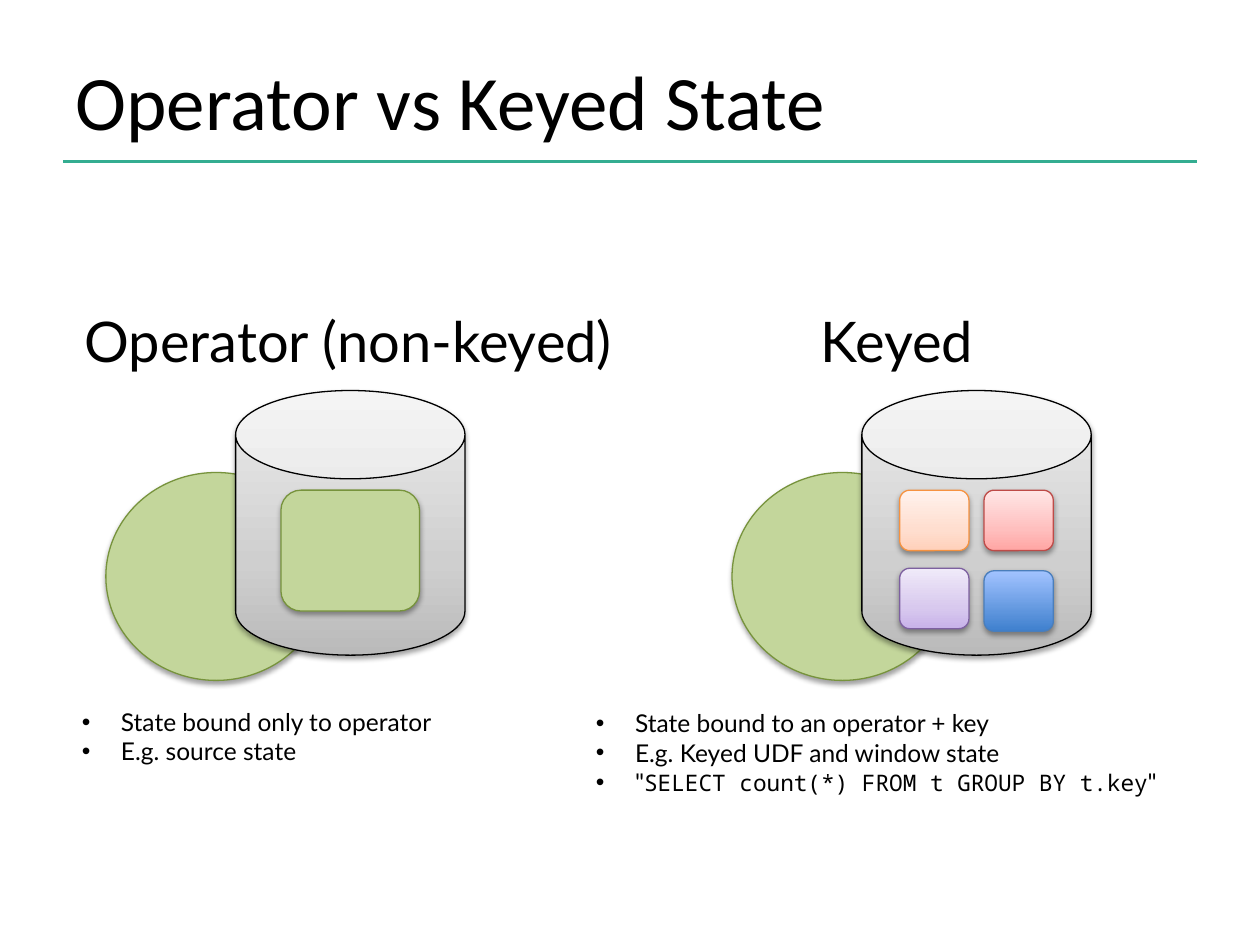
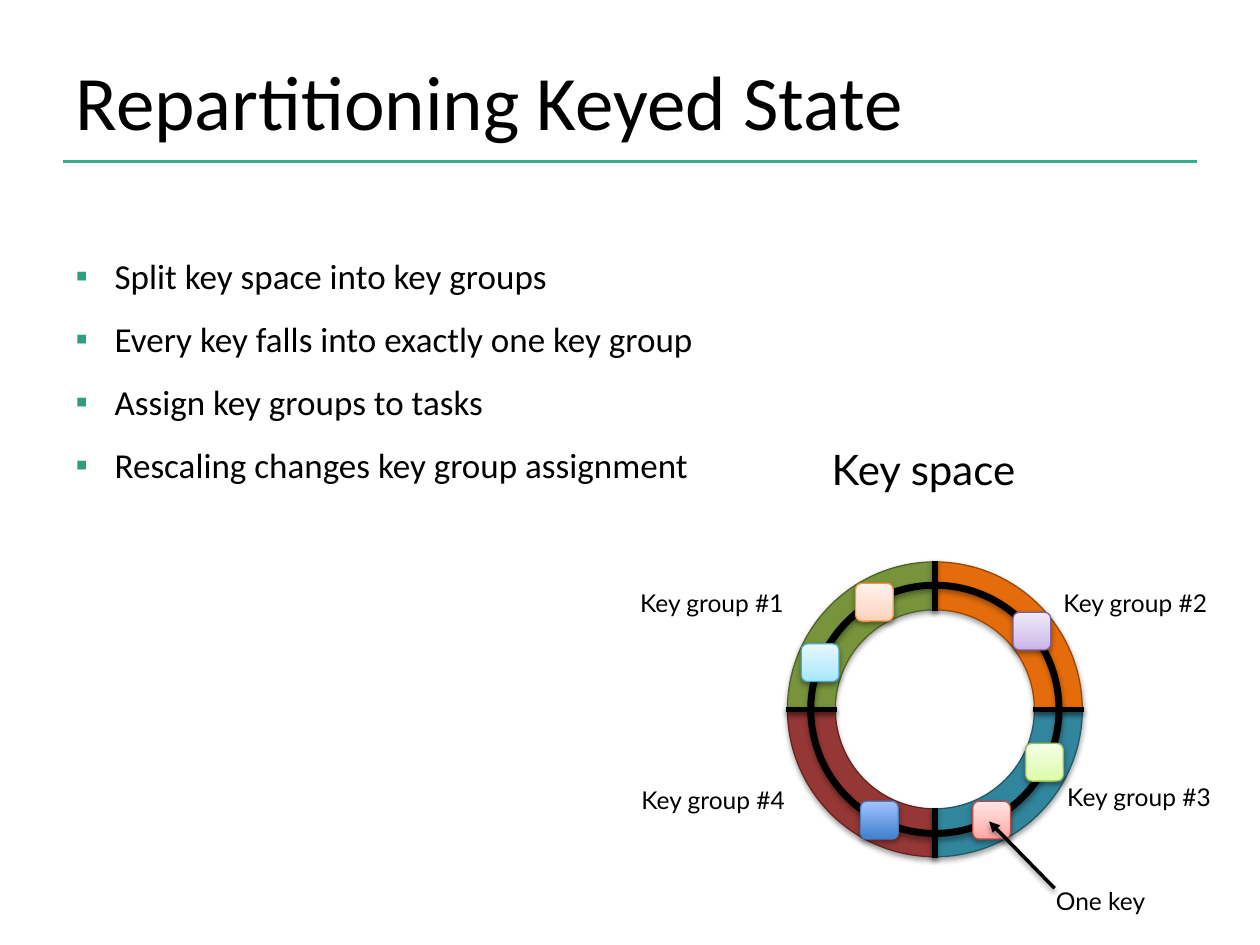
import copy
from dataclasses import dataclass

import lxml.etree
import pptx
import pptx.dml.color
import pptx.enum.shapes
import pptx.enum.text
import pptx.oxml.ns
import pptx.util

Inches = pptx.util.Inches
Pt = pptx.util.Pt
RGBColor = pptx.dml.color.RGBColor
Preset = pptx.enum.shapes.MSO_SHAPE
Anchor = pptx.enum.text.MSO_ANCHOR
qn = pptx.oxml.ns.qn

# Shared colours and fonts
BLACK = RGBColor(0x00, 0x00, 0x00)
RULE_GREEN = RGBColor(0x34, 0xAD, 0x91)
BULLET_GREEN = RGBColor(0x2D, 0x9E, 0x7E)
OPERATOR_FILL = RGBColor(0xC3, 0xD6, 0x9B)
OLIVE = RGBColor(0x77, 0x93, 0x3C)
OLIVE_DARK = RGBColor(0x4F, 0x62, 0x28)
ORANGE = RGBColor(0xE4, 0x6C, 0x0A)
ORANGE_DARK = RGBColor(0x98, 0x48, 0x07)
TEAL = RGBColor(0x31, 0x85, 0x9C)
TEAL_DARK = RGBColor(0x21, 0x59, 0x68)
MAROON = RGBColor(0x95, 0x37, 0x35)
MAROON_DARK = RGBColor(0x63, 0x25, 0x23)
TITLE_FONT, LABEL_FONT, CODE_FONT = "Calibri", "Lato", "Noto Sans Mono"
HAIRLINE = 0.75


@dataclass(frozen=True)
class Tint:
    """Outline colour and gradient stops (position, colour), bottom to top."""
    outline: RGBColor
    stops: tuple[tuple[float, RGBColor], ...]


def tint(outline: str, bottom: str, middle: str, top: str) -> Tint:
    stops = ((0, bottom), (0.35, middle), (1, top))
    return Tint(RGBColor.from_string(outline),
                tuple((at, RGBColor.from_string(colour)) for at, colour in stops if colour))


GREY = tint("000000", "BABABA", "CFCFCF", "EDEDED")
PEACH = tint("F69240", "FFD1BB", "FFDECF", "FFF2ED")
ROSE = tint("BE4B48", "FFA5A3", "FFBFBE", "FFE6E6")
LILAC = tint("7D60A0", "C8B2E9", "D8C9EE", "F0EAF9")
BLUE = tint("4A7EBB", "3F80CE", "", "A2C3FF")
SKY = tint("46AAC4", "A5E6FF", "BFEDFF", "E7F8FF")
LIME = tint("98B955", "DAFEA4", "E4FDBF", "F5FFE6")


@dataclass(frozen=True)
class Box:
    left: float
    top: float
    width: float
    height: float


@dataclass(frozen=True)
class Key:
    tint: Tint
    left: float
    top: float


@dataclass(frozen=True)
class Group:
    name: str
    fill: RGBColor
    outline: RGBColor
    start: int
    label: Box


# Drawing helpers
def add_shadow(shape) -> None:
    effects = lxml.etree.SubElement(shape._element.spPr, qn("a:effectLst"))
    shadow = lxml.etree.SubElement(effects, qn("a:outerShdw"), blurRad=str(Pt(3)),
                                   dist=str(Pt(1.7)), dir="5400000", rotWithShape="0")
    colour = lxml.etree.SubElement(shadow, qn("a:srgbClr"), val=str(BLACK))
    lxml.etree.SubElement(colour, qn("a:alpha"), val="36000")


def paint_gradient(shape, colours: Tint) -> None:
    shape.fill.gradient()
    shape.fill.gradient_angle = 90
    first = shape._element.spPr.find(".//" + qn("a:gs"))
    for _ in colours.stops[2:]:
        first.addnext(copy.deepcopy(first))
    for stop, (position, colour) in zip(shape.fill.gradient_stops, colours.stops):
        stop.position = position
        stop.color.rgb = colour


def add_preset(page, preset, box: Box, fill: RGBColor | Tint | None, outline: RGBColor,
               weight: float = HAIRLINE):
    shape = page.shapes.add_shape(preset, Inches(box.left), Inches(box.top),
                                  Inches(box.width), Inches(box.height))
    if fill is None:
        shape.fill.background()
    elif isinstance(fill, Tint):
        paint_gradient(shape, fill)
    else:
        shape.fill.solid()
        shape.fill.fore_color.rgb = fill
    shape.line.color.rgb = outline
    shape.line.width = Pt(weight)
    add_shadow(shape)
    return shape


def add_key(page, key: Key, width: float, height: float) -> None:
    add_preset(page, Preset.ROUNDED_RECTANGLE, Box(key.left, key.top, width, height),
               key.tint, key.tint.outline)


def add_line(page, start: tuple[float, float], end: tuple[float, float], colour: RGBColor,
             weight: float, shadow: bool = True, arrow: bool = False) -> None:
    line = page.shapes.add_connector(pptx.enum.shapes.MSO_CONNECTOR.STRAIGHT,
                                     *map(Inches, start), *map(Inches, end))
    line.line.color.rgb = colour
    line.line.width = Pt(weight)
    properties = line._element.spPr
    if arrow:
        lxml.etree.SubElement(properties.find(qn("a:ln")), qn("a:tailEnd"), type="triangle")
    if shadow:
        add_shadow(line)
    else:
        lxml.etree.SubElement(properties, qn("a:effectLst"))


# Text helpers
def style_font(font, name: str, size: float) -> None:
    font.name = name
    font.size = Pt(size)
    font.bold = False
    font.color.rgb = BLACK


def prepare_frame(shape, box: Box, inset: float, anchor=Anchor.TOP, wrap: bool = True):
    shape.left, shape.top = Inches(box.left), Inches(box.top)
    shape.width, shape.height = Inches(box.width), Inches(box.height)
    frame = shape.text_frame
    frame.margin_left = frame.margin_right = Inches(inset)
    frame.margin_top = frame.margin_bottom = Inches(min(inset, 0.05))
    frame.auto_size = pptx.enum.text.MSO_AUTO_SIZE.NONE
    frame.vertical_anchor = anchor
    frame.word_wrap = wrap
    return frame


def write_line(shape, text: str, box: Box, name: str, size: float, inset: float = 0.05,
               anchor=Anchor.TOP, wrap: bool = True) -> None:
    frame = prepare_frame(shape, box, inset, anchor, wrap)
    frame.text = text
    para = frame.paragraphs[0]
    para.alignment = pptx.enum.text.PP_ALIGN.LEFT
    para.space_before = Pt(0)
    style_font(para.font, name, size)


def add_label(page, text: str, box: Box, size: float = 14) -> None:
    label = page.shapes.add_textbox(0, 0, 0, 0)
    write_line(label, text, box, LABEL_FONT, size, wrap=False)


def write_list(shape, items: list[str], box: Box, name: str, size: float, mark: str,
               mark_colour: RGBColor, spacing: float = 1.0, inset: float = 0.05):
    frame = prepare_frame(shape, box, inset)
    frame.text = "\n".join(items)
    for para in frame.paragraphs:
        properties = para._p.get_or_add_pPr()
        properties.set("marL", str(Inches(0.31)))
        properties.set("indent", str(Inches(-0.31)))
        colour = lxml.etree.SubElement(properties, qn("a:buClr"))
        lxml.etree.SubElement(colour, qn("a:srgbClr"), val=str(mark_colour))
        lxml.etree.SubElement(properties, qn("a:buFont"), typeface="Arial")
        lxml.etree.SubElement(properties, qn("a:buChar"), char=mark)
        para.line_spacing = spacing
        para.space_before = Pt(0)
        style_font(para.font, name, size)
    return frame


def new_page(deck, layout_name: str, title: str):
    page = deck.slides.add_slide(deck.slide_layouts.get_by_name(layout_name))
    write_line(page.shapes.title, title, Box(0.5, 0.3, 9, 0.98), TITLE_FONT, 44,
               inset=0.1, anchor=Anchor.MIDDLE)
    add_line(page, (0.5, 1.28), (9.5, 1.28), RULE_GREEN, 2, shadow=False)
    return page


# Slide 1: operator state beside keyed state
def add_store(page, left: float) -> None:
    add_preset(page, Preset.OVAL, Box(left, 3.75, 1.75, 1.65), OPERATOR_FILL, OLIVE)
    store = add_preset(page, Preset.CAN, Box(left + 1.03, 3.1, 1.82, 2.1), GREY, BLACK)
    store.adjustments[0] = 0.385


def build_state_page(deck) -> None:
    page = new_page(deck, "Comparison", "Operator vs Keyed State")
    operator_head, operator_list, keyed_head, keyed_list = list(page.placeholders)[1:]
    write_line(operator_head, "Operator (non-keyed)", Box(0.62, 2.38, 4.83, 0.64),
               LABEL_FONT, 32)
    write_line(keyed_head, "Keyed", Box(6.46, 2.38, 3.23, 0.71), LABEL_FONT, 32)

    for left in (5.81, 0.84):
        add_store(page, left)
    add_preset(page, Preset.ROUNDED_RECTANGLE, Box(2.23, 3.89, 1.1, 0.96),
               OPERATOR_FILL, OLIVE)
    for key in (Key(PEACH, 7.14, 3.89), Key(ROSE, 7.81, 3.89),
                Key(LILAC, 7.14, 4.51), Key(BLUE, 7.81, 4.53)):
        add_key(page, key, 0.55, 0.48)

    write_list(operator_list, ["State bound only to operator", "E.g. source state"],
               Box(0.6, 5.56, 3.99, 0.57), LABEL_FONT, 14, "•", BLACK)
    frame = write_list(keyed_list, ["State bound to an operator + key",
                                    "E.g. Keyed UDF and window state", '"'],
                       Box(4.68, 5.57, 4.63, 0.81), LABEL_FONT, 14, "•", BLACK)
    query = frame.paragraphs[-1]
    span = query.add_run()
    span.text = "SELECT count(*) FROM t GROUP BY t.key"
    style_font(span.font, CODE_FONT, 13)
    query.add_run().text = '"'


# Slide 2: the key space as a ring of key groups
CENTRE_X, CENTRE_Y = 7.42, 5.63
RING_RADIUS, RING_WIDTH, TRACK_RADIUS = 1.17, 0.38, 0.985
KEY_SIZE = 0.3
GROUPS = (
    Group("Key group #4", MAROON, MAROON_DARK, 90, Box(5.04, 6.18, 1.3, 0.36)),
    Group("Key group #3", TEAL, TEAL_DARK, 0, Box(8.42, 6.16, 1.3, 0.36)),
    Group("Key group #2", ORANGE, ORANGE_DARK, 270, Box(8.39, 4.62, 1.3, 0.36)),
    Group("Key group #1", OLIVE, OLIVE_DARK, 180, Box(5.03, 4.62, 1.3, 0.36)),
)
RING_KEYS = (Key(PEACH, 6.79, 4.63), Key(SKY, 6.36, 5.11), Key(LILAC, 8.04, 4.86),
             Key(LIME, 8.14, 5.9), Key(ROSE, 7.72, 6.36), Key(BLUE, 6.83, 6.36))


def circle_box(radius: float) -> Box:
    return Box(CENTRE_X - radius, CENTRE_Y - radius, 2 * radius, 2 * radius)


def build_ring_page(deck) -> None:
    page = new_page(deck, "Title and Content", "Repartitioning Keyed State")
    write_list(page.placeholders[1],
               ["Split key space into key groups",
                "Every key falls into exactly one key group",
                "Assign key groups to tasks",
                "Rescaling changes key group assignment"],
               Box(0.5, 1.8, 5.35, 2.27), TITLE_FONT, 20, "▪", BULLET_GREEN,
               spacing=1.5, inset=0.1)
    add_label(page, "Key space", Box(6.55, 3.47, 1.64, 0.56), 24)

    # Ring quarters; block arc angles count in 60000ths of a degree over 100000
    for group in GROUPS:
        arc = add_preset(page, Preset.BLOCK_ARC, circle_box(RING_RADIUS),
                         group.fill, group.outline)
        arc.adjustments[0] = group.start * 0.6
        arc.adjustments[1] = (group.start + 90) % 360 * 0.6
        arc.adjustments[2] = RING_WIDTH / (2 * RING_RADIUS)
        add_label(page, group.name, group.label)
    add_preset(page, Preset.OVAL, circle_box(TRACK_RADIUS), None, BLACK, 4)

    # Borders between the groups
    inner, outer = 0.78, 1.18
    for across, down in ((-1, 0), (1, 0), (0, -1), (0, 1)):
        start, end = ((CENTRE_X + across * reach, CENTRE_Y + down * reach)
                      for reach in (inner, outer))
        add_line(page, start, end, BLACK, 3)

    for key in RING_KEYS:
        add_key(page, key, KEY_SIZE, KEY_SIZE)
    add_line(page, (8.37, 7.05), (7.85, 6.52), BLACK, 2, arrow=True)
    add_label(page, "One key", Box(8.33, 6.98, 0.85, 0.36))


def main() -> None:
    deck = pptx.Presentation()
    deck.slide_width, deck.slide_height = Inches(10), Inches(7.5)
    build_state_page(deck)
    build_ring_page(deck)
    deck.save("out.pptx")


if __name__ == "__main__":
    main()
